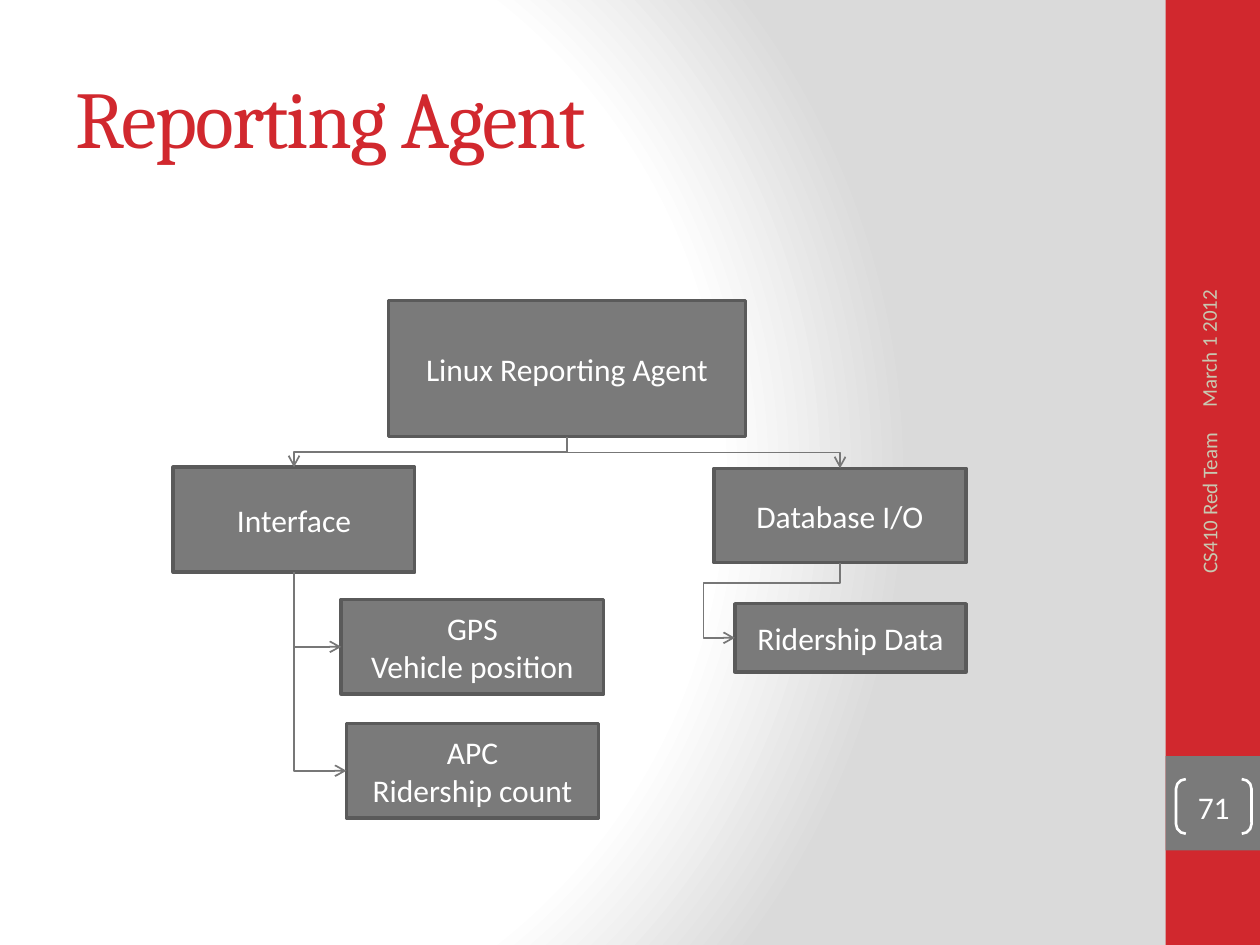
from lxml import etree
from pptx import Presentation
from pptx.dml.color import RGBColor
from pptx.enum.shapes import MSO_CONNECTOR, MSO_SHAPE
from pptx.enum.text import MSO_ANCHOR, MSO_AUTO_SIZE, PP_ALIGN
from pptx.oxml.ns import qn
from pptx.util import Pt

PX = 914400 // 120  # 120 px to the inch
RECT, BRACKETS = MSO_SHAPE.RECTANGLE, MSO_SHAPE.DOUBLE_BRACKET
ELBOW = MSO_CONNECTOR.ELBOW
LEFT, CENTER, RIGHT = PP_ALIGN.LEFT, PP_ALIGN.CENTER, PP_ALIGN.RIGHT
MIDDLE, NO_FIT = MSO_ANCHOR.MIDDLE, MSO_AUTO_SIZE.NONE
TOP_SITE, LEFT_SITE, BOTTOM_SITE = 0, 1, 2

RED = RGBColor(0xD1, 0x28, 0x2E)
GRAY = RGBColor(0x7A, 0x7A, 0x7A)
EDGE = RGBColor(0x5A, 0x5A, 0x5A)
ARROW = RGBColor(0x77, 0x77, 0x77)
SAND = RGBColor(0xC8, 0xC8, 0xB1)
SILVER = RGBColor(0xDA, 0xDA, 0xDA)
WHITE = RGBColor(0xFF, 0xFF, 0xFF)


def emu(*lengths):
    return [length * PX for length in lengths]


def add_node(parent, tag, **attributes):
    node = etree.SubElement(parent, qn(tag))
    for name, value in attributes.items():
        node.set(name, str(value))
    return node


def write(frame, text, size=18, font="Calibri", color=WHITE, align=CENTER, spacing=None):
    """Put one paragraph per line of text into a text frame."""
    frame.word_wrap = True
    frame.auto_size = NO_FIT
    frame.vertical_anchor = MIDDLE
    for index, line in enumerate(text.split("\n")):
        para = frame.add_paragraph() if index else frame.paragraphs[0]
        para.alignment = align
        span = para.add_run()
        span.text = line
        span.font.size = Pt(size)
        span.font.name = font
        span.font.color.rgb = color
        if spacing is not None:
            span.font._element.set("spc", str(spacing))


class SlideBuilder:
    def __init__(self, deck):
        self.page = deck.slides.add_slide(deck.slide_layouts[5])
        self.shapes = self.page.shapes

    def background(self, stops, **focus):
        self.page.background.fill.gradient()
        gradient = self.page.element.find(".//" + qn("a:gradFill"))
        for child in list(gradient):
            gradient.remove(child)
        stop_list = add_node(gradient, "a:gsLst")
        for percent, color in stops:
            stop = add_node(stop_list, "a:gs", pos=percent * 1000)
            add_node(stop, "a:srgbClr", val=color)
        circle = add_node(gradient, "a:path", path="circle")
        add_node(circle, "a:fillToRect", **{side: value * 1000 for side, value in focus.items()})

    def title(self, text, area):
        title = self.shapes.title
        title.left, title.top, title.width, title.height = emu(*area)
        write(title.text_frame, text, size=46, font="Cambria", color=RED, align=LEFT, spacing=-100)

    def shape(self, area, kind=RECT, fill=None, line=None, width=1):
        shape = self.shapes.add_shape(kind, *emu(*area))
        shape.shadow.inherit = False
        if fill is None:
            shape.fill.background()
        else:
            shape.fill.solid()
            shape.fill.fore_color.rgb = fill
        if line is None:
            shape.line.fill.background()
        else:
            shape.line.color.rgb = line
            shape.line.width = Pt(width)
        return shape

    def box(self, text, area):
        box = self.shape(area, fill=GRAY, line=EDGE, width=2)
        write(box.text_frame, text)
        return box

    def side_text(self, text, area, align):
        label = self.shapes.add_textbox(*emu(*area))
        label.rotation = 270
        write(label.text_frame, text, size=12, color=SAND, align=align)

    def page_number(self, text, area):
        number = self.shape(area, kind=BRACKETS, line=WHITE, width=1.5)
        number.adjustments[0] = 0.18
        frame = number.text_frame
        frame.margin_left = frame.margin_top = frame.margin_right = frame.margin_bottom = 0
        write(frame, text)

    def arrow(self, parent, child, site, preset, bends=()):
        """Elbow arrow that leaves the bottom of parent and ends at a site of child."""
        arrow = self.shapes.add_connector(ELBOW, 0, 0, 0, 0)
        arrow.begin_connect(parent, BOTTOM_SITE)
        arrow.end_connect(child, site)
        across = arrow.end_x - arrow.begin_x
        down = arrow.end_y - arrow.begin_y
        center_x = (arrow.begin_x + arrow.end_x) // 2
        center_y = (arrow.begin_y + arrow.end_y) // 2

        # The frame is turned a quarter so that the first leg runs down
        properties = arrow.element.spPr
        frame = properties.find(qn("a:xfrm"))
        for name in list(frame.attrib):
            del frame.attrib[name]
        arrow.width, arrow.height = down, abs(across)
        arrow.left, arrow.top = center_x - down // 2, center_y - abs(across) // 2
        frame.set("rot", str((90 if across < 0 else 270) * 60000))
        if across > 0:
            frame.set("flipH", "1")

        geometry = properties.find(qn("a:prstGeom"))
        geometry.set("prst", preset)
        guides = geometry.find(qn("a:avLst"))
        if guides is None:
            guides = add_node(geometry, "a:avLst")
        for index, bend in enumerate(bends, 1):
            add_node(guides, "a:gd", name=f"adj{index}", fmla=f"val {bend * 1000}")

        arrow.line.color.rgb = ARROW
        arrow.line.width = Pt(1)
        add_node(properties.find(qn("a:ln")), "a:tailEnd", type="arrow")
        add_node(properties, "a:effectLst")


def main():
    deck = Presentation()
    deck.slide_width, deck.slide_height = emu(1200, 900)
    slide = SlideBuilder(deck)
    slide.background([(0, WHITE), (75, WHITE), (100, SILVER)], l=20, t=50, r=100, b=50)

    # Side band
    slide.shape((1110, 0, 90, 900), fill=RED)
    slide.shape((1110, 720, 90, 90), fill=GRAY)
    slide.title("Reporting Agent", (60, 36, 1000, 150))
    slide.side_text("March 1 2012", (991, 216, 320, 48), LEFT)
    slide.side_text("CS410 Red Team", (996, 532, 311, 48), RIGHT)
    slide.page_number("71", (1120, 742, 72, 52))

    # Component boxes
    agent = slide.box("Linux Reporting Agent", (370, 286, 340, 130))
    database = slide.box("Database I/O", (680, 446, 240, 90))
    interface = slide.box("Interface", (165, 445, 230, 100))
    gps = slide.box("GPS\nVehicle position", (325, 571, 250, 90))
    counter = slide.box("APC\nRidership count", (330, 689, 240, 90))
    ridership = slide.box("Ridership Data", (700, 575, 220, 65))

    # Hierarchy arrows
    for child in (interface, database):
        slide.arrow(agent, child, TOP_SITE, "bentConnector3")
    for child in (gps, counter):
        slide.arrow(interface, child, LEFT_SITE, "bentConnector2")
    slide.arrow(database, ridership, LEFT_SITE, "bentConnector4", bends=(27, 130))

    deck.save("out.pptx")


if __name__ == "__main__":
    main()
